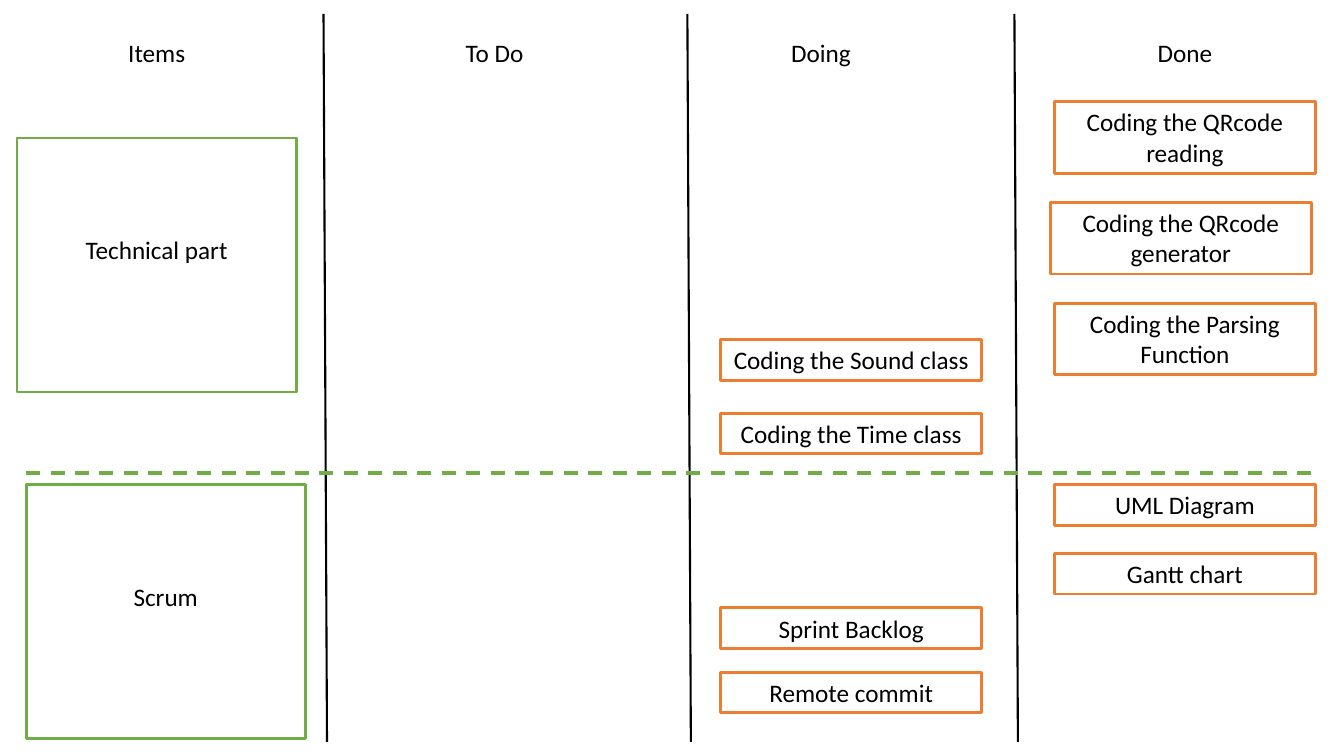
from dataclasses import dataclass

from lxml import etree
from pptx import Presentation
from pptx import util as u
from pptx.dml.color import RGBColor
from pptx.enum import dml, shapes, text
from pptx.oxml.ns import qn


@dataclass(frozen=True)
class Theme:
    font: str = "Calibri"
    size: float = 18
    ink: str = "000000"
    paper: str = "FFFFFF"
    task: str = "ED7D31"
    item: str = "70AD47"
    border: float = 2
    divider: float = 1.5
    separator: float = 2.5


class Board:
    def __init__(self, slide, theme):
        self.slide = slide
        self.theme = theme

    def label(self, frame, words):
        frame.word_wrap = True
        paragraph = frame.paragraphs[0]
        paragraph.alignment = text.PP_ALIGN.CENTER
        run = paragraph.add_run()
        run.text = words
        run.font.name = self.theme.font
        run.font.size = u.Pt(self.theme.size)
        run.font.color.rgb = RGBColor.from_string(self.theme.ink)

    def heading(self, words, left, top, width, height):
        title = self.slide.shapes.add_textbox(*map(u.Pt, (left, top, width, height)))
        self.label(title.text_frame, words)

    def box(self, words, left, top, width, height, color):
        card = self.slide.shapes.add_shape(
            shapes.MSO_SHAPE.RECTANGLE, *map(u.Pt, (left, top, width, height)))
        card.shadow.inherit = False
        card.fill.solid()
        card.fill.fore_color.rgb = RGBColor.from_string(self.theme.paper)
        card.line.color.rgb = RGBColor.from_string(color)
        card.line.width = u.Pt(self.theme.border)
        self.label(card.text_frame, words)
        return card.text_frame

    def task(self, words, left, top, width, height):
        frame = self.box(words, left, top, width, height, self.theme.task)
        frame.vertical_anchor = text.MSO_ANCHOR.TOP
        frame.auto_size = text.MSO_AUTO_SIZE.SHAPE_TO_FIT_TEXT

    def item(self, words, left, top, width, height):
        frame = self.box(words, left, top, width, height, self.theme.item)
        frame.vertical_anchor = text.MSO_ANCHOR.MIDDLE
        frame.margin_bottom = u.Pt(25.6)

    def line(self, x1, y1, x2, y2, color, weight, dash=None):
        rule = self.slide.shapes.add_connector(
            shapes.MSO_CONNECTOR.STRAIGHT, *map(u.Pt, (x1, y1, x2, y2)))
        rule.line.color.rgb = RGBColor.from_string(color)
        rule.line.width = u.Pt(weight)
        if dash:
            rule.line.dash_style = dash
        etree.SubElement(rule._element.spPr, qn("a:effectLst"))


def main():
    deck = Presentation()
    deck.slide_width, deck.slide_height = u.Pt(960), u.Pt(540)
    theme = Theme()
    board = Board(deck.slides.add_slide(deck.slide_layouts[6]), theme)

    column_width, one_line, two_lines = 186.5, 29, 51
    doing, done = 514.8, 753.1

    for divider in (231.1, 491, 724.6):
        board.line(divider, 10, divider + 2.5, 530, theme.ink, theme.divider)

    for heading, left in (("Items", 18.7), ("To Do", 260), ("Doing", 493.2), ("Done", done)):
        board.heading(heading, left, 23, column_width, one_line)

    coding_done = (("Coding the QRcode reading", done),
                   ("Coding the QRcode generator", done - 2.9),
                   ("Coding the Parsing Function", done))
    for row, (task, left) in enumerate(coding_done):
        board.task(task, left, 72.7 + 72 * row, column_width, two_lines)

    for task, left, top in (
        ("Coding the Sound class", doing, 242.6),
        ("Coding the Time class", doing, 295.2),
        ("Sprint Backlog", doing, 434.2),
        ("Remote commit", doing, 480.2),
        ("UML Diagram", done, 346.3),
        ("Gantt chart", done, 395.3),
    ):
        board.task(task, left, top, column_width, one_line)

    for item, left, top in (("Technical part", 12.2, 98.6), ("Scrum", 18.7, 346.3)):
        board.item(item, left, top, 199.4, 181.4)

    board.line(18.7, 337.7, 936.7, 337.7, theme.item, theme.separator,
               dml.MSO_LINE.DASH)
    deck.save("out.pptx")


if __name__ == "__main__":
    main()
